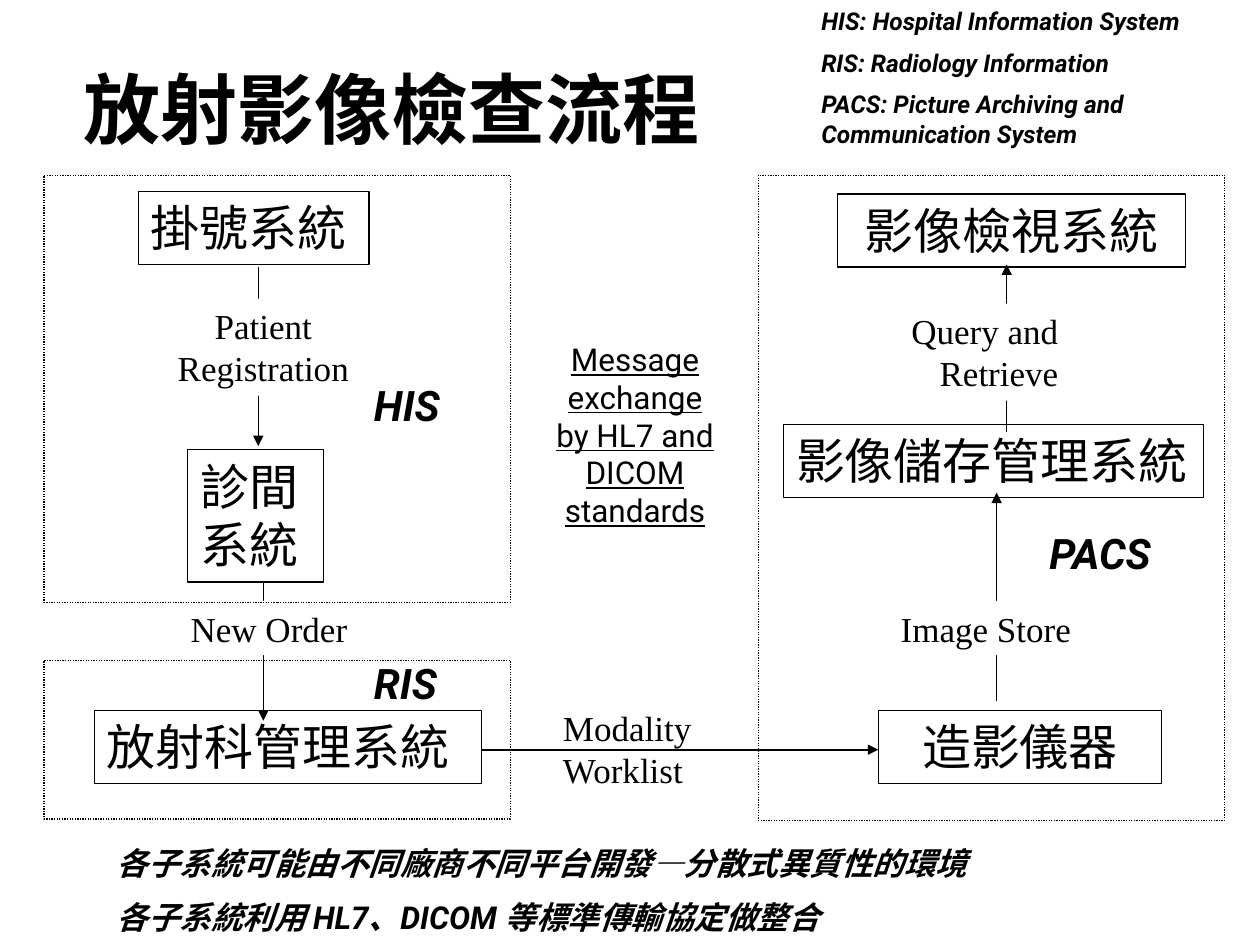
from collections import namedtuple
from pptx import Presentation
from pptx.dml.color import RGBColor
from pptx.enum.dml import MSO_LINE
from pptx.enum.shapes import MSO_CONNECTOR, MSO_SHAPE
from pptx.enum.text import MSO_ANCHOR, MSO_AUTO_SIZE, PP_ALIGN
from pptx.oxml.ns import qn
from pptx.util import Inches, Pt
from lxml.etree import SubElement

BLACK = RGBColor(0, 0, 0)
WHITE = RGBColor(255, 255, 255)
SERIF, SANS, HEADING = "Times New Roman", "Roboto", "Arial"
LEFT, CENTER, RIGHT = PP_ALIGN.LEFT, PP_ALIGN.CENTER, PP_ALIGN.RIGHT

Box = namedtuple("Box", "left top width height")
PAGE = Box(0, 0, 10, 7.5)
HIS = Box(0.35, 1.39, 3.7, 3.39)
RIS = Box(0.35, 5.24, 3.7, 1.26)
PACS = Box(6.02, 1.39, 3.7, 5.12)
SYSTEM_HEIGHT = 0.58


def inside(area, left, top, width, height):
    return Box(area.left + left, area.top + top, width, height)


def write(shape, text, size, font, align=LEFT, bold=False, italic=False, underline=False):
    frame = shape.text_frame
    frame.text = text
    frame.word_wrap = True
    frame.auto_size = MSO_AUTO_SIZE.NONE
    frame.vertical_anchor = MSO_ANCHOR.TOP
    for index, paragraph in enumerate(frame.paragraphs):
        paragraph.alignment = align
        paragraph.space_before = Pt(size / 2 if index else 0)
        for span in paragraph.runs:
            span.font.name = font
            span.font.size = Pt(size)
            span.font.bold = bold
            span.font.italic = italic
            span.font.underline = underline
            span.font.color.rgb = BLACK
    return shape


def add_text(page, box, text, size, font, **style):
    shape = page.shapes.add_textbox(*map(Inches, box))
    return write(shape, text, size, font, **style)


def add_rectangle(page, box, fill=None, outlined=True, dash=None):
    shape = page.shapes.add_shape(MSO_SHAPE.RECTANGLE, *map(Inches, box))
    shape.shadow.inherit = False
    if fill is None:
        shape.fill.background()
    else:
        shape.fill.solid()
        shape.fill.fore_color.rgb = fill
    if outlined:
        shape.line.color.rgb = BLACK
        shape.line.width = Pt(0.75)
        if dash:
            shape.line.dash_style = dash
    else:
        shape.line.fill.background()
    return shape


def add_system(page, box, text, align=LEFT):
    write(add_rectangle(page, box), text, 28, SERIF, align=align)


def add_label(page, box, text, align=CENTER):
    shape = add_rectangle(page, box, fill=WHITE, outlined=False)
    return write(shape, text, 20, SERIF, align=align)


def add_frame(page, area, name, name_box):
    add_rectangle(page, area, dash=MSO_LINE.ROUND_DOT)
    add_text(page, name_box, name, 24, SANS, bold=True, italic=True)


def add_arrow(page, start, end, width=0.75):
    arrow = page.shapes.add_connector(MSO_CONNECTOR.STRAIGHT, *map(Inches, (*start, *end)))
    arrow.line.color.rgb = BLACK
    arrow.line.width = Pt(width)
    SubElement(arrow.line._get_or_add_ln(), qn("a:tailEnd"), type="triangle")
    SubElement(arrow._element.spPr, qn("a:effectLst"))


def add_vertical_arrow(page, area, offset, start, end):
    column = area.left + offset
    add_arrow(page, (column, area.top + start), (column, area.top + end))


def build_heading(page, area):
    title = page.shapes.title
    title.left, title.top, title.width, title.height = map(
        Inches, inside(area, 0, 0.44, 6.22, 0.83))
    write(title, "放射影像檢查流程", 44, HEADING, align=CENTER, bold=True)
    legend = ("HIS: Hospital Information System\nRIS: Radiology Information\n"
              "PACS: Picture Archiving and Communication System")
    add_text(page, inside(area, 6.42, 0, 3.58, 1.26), legend, 14, SANS, bold=True, italic=True)


def build_his(page, area):
    add_system(page, inside(area, 0.75, 0.13, 1.83, SYSTEM_HEIGHT), "掛號系統")
    add_system(page, inside(area, 1.14, 2.18, 1.08, 1.05), "診間系統")
    add_vertical_arrow(page, area, 1.7, 0.73, 2.15)
    add_label(page, inside(area, 0.95, 0.98, 1.58, 0.77), "Patient Registration")
    add_vertical_arrow(page, area, 1.74, 3.22, 4.33)
    add_label(page, inside(area, 0.95, 3.38, 1.67, 0.43), "New Order")
    add_frame(page, area, "HIS", inside(area, 2.52, 1.57, 0.87, 0.5))


def build_ris(page, area):
    add_system(page, inside(area, 0.4, 0.4, 3.07, SYSTEM_HEIGHT), "放射科管理系統")
    add_frame(page, area, "RIS", inside(area, 2.52, -0.07, 0.87, 0.5))


def build_pacs(page, area):
    add_system(page, inside(area, 0.63, 0.15, 2.76, SYSTEM_HEIGHT), "影像檢視系統", CENTER)
    add_system(page, inside(area, 0.2, 1.98, 3.33, SYSTEM_HEIGHT), "影像儲存管理系統")
    add_system(page, inside(area, 0.95, 4.25, 2.25, SYSTEM_HEIGHT), "造影儀器", CENTER)
    add_vertical_arrow(page, area, 1.97, 2.04, 0.71)
    query = add_label(page, inside(area, 0.95, 1.02, 1.92, 0.77), "Query and Retrieve", RIGHT)
    query.text_frame.margin_right = Inches(0.49)
    add_vertical_arrow(page, area, 1.89, 4.17, 2.52)
    add_label(page, inside(area, 1.03, 3.38, 1.76, 0.43), "Image Store", LEFT)
    add_frame(page, area, "PACS", inside(area, 2.21, 2.75, 1.18, 0.5))


def build_exchange(page, area):
    add_arrow(page, (3.82, 5.95), (6.97, 5.95), 1)
    add_text(page, inside(area, 4.37, 5.56, 1.5, 0.77), "Modality Worklist", 20, SERIF)
    add_text(page, inside(area, 4.29, 2.65, 1.5, 1.6),
             "Message exchange by HL7 and DICOM standards", 18, SANS,
             align=CENTER, underline=True)


def build_remarks(page, area):
    remarks = "各子系統可能由不同廠商不同平台開發\n各子系統利用 HL7、DICOM 等標準傳輸協定做整合"
    shape = add_text(page, inside(area, 0.83, 6.65, 8.27, 0.85), remarks, 18, SANS,
                     bold=True, italic=True)
    first = shape.text_frame.paragraphs[0]
    for text, font in (("—", HEADING), ("分散式異質性的環境", SANS)):
        span = first.add_run()
        span.text = text
        span.font.name = font
        span.font.size = Pt(18)
        span.font.bold = span.font.italic = True
        span.font.color.rgb = BLACK


deck = Presentation()
deck.slide_width, deck.slide_height = Inches(PAGE.width), Inches(PAGE.height)
page = deck.slides.add_slide(deck.slide_layouts[5])
build_heading(page, PAGE)
build_his(page, HIS)
build_ris(page, RIS)
build_pacs(page, PACS)
build_exchange(page, PAGE)
build_remarks(page, PAGE)
deck.save("out.pptx")
